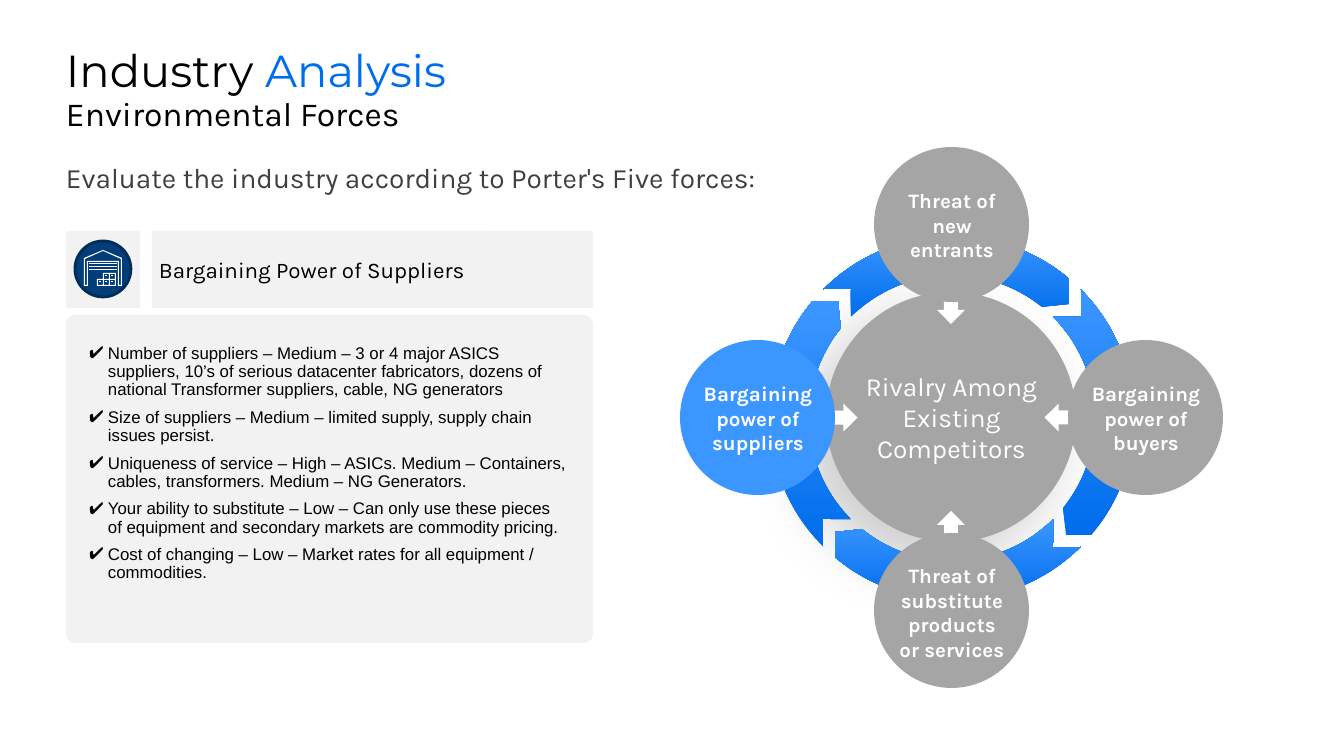
import math

import pptx
import pptx.dml.color
import pptx.enum.shapes
import pptx.enum.text
import pptx.oxml
import pptx.oxml.ns
import pptx.util

PX = 914400 / 134.4
SHAPE = pptx.enum.shapes.MSO_SHAPE
ALIGN = pptx.enum.text.PP_ALIGN
ANCHOR = pptx.enum.text.MSO_ANCHOR
COLORS = {
    name: pptx.dml.color.RGBColor.from_string(value)
    for name, value in {
        "black": "000000", "white": "FFFFFF", "text": "3F3F3F",
        "panel": "F2F2F2", "gray": "A5A5A5", "blue": "006DEC",
        "light blue": "3C96FF", "navy": "013E79", "navy edge": "002D58",
    }.items()
}

prs = pptx.Presentation()
prs.slide_width, prs.slide_height = round(1344 * PX), round(756 * PX)
s = prs.slides.add_slide(prs.slide_layouts.get_by_name("Two Content"))


def draw(outline, box, color):
    """Add a filled shape: a preset in box, or, without a box, a list of px contours."""
    if box:
        sp = s.shapes.add_shape(outline, *[round(v * PX) for v in box])
    else:
        contours = [[(x * PX, y * PX) for x, y in c] for c in outline]
        builder = s.shapes.build_freeform(*contours[0][0], scale=1.0)
        builder.add_line_segments(contours[0][1:])
        for contour in contours[1:]:
            builder.move_to(*contour[0])
            builder.add_line_segments(contour[1:])
        sp = builder.convert_to_shape()
    sp.shadow.inherit = False
    sp.fill.solid()
    sp.fill.fore_color.rgb = COLORS[color]
    sp.line.fill.background()
    return sp


def write(sp, box, texts, size, font, color="black", bold=False, align=ALIGN.LEFT,
          anchor=ANCHOR.TOP, insets=(0, 0, 0, 0)):
    """Place a text shape (a new text box if sp is None) and fill its paragraphs."""
    box = [round(v * PX) for v in box]
    sp = sp or s.shapes.add_textbox(*box)
    sp.left, sp.top, sp.width, sp.height = box
    tf = sp.text_frame
    tf.word_wrap = True
    tf.auto_size = pptx.enum.text.MSO_AUTO_SIZE.NONE
    tf.vertical_anchor = anchor
    tf.margin_left, tf.margin_top, tf.margin_right, tf.margin_bottom = [
        round(v * PX) for v in insets]
    tf.text = "\n".join(texts)
    for p in tf.paragraphs:
        p.alignment = align
        p.space_before = pptx.util.Pt(0)
        p.font.size = pptx.util.Pt(size)
        p.font.name = font
        p.font.bold = bold
        p.font.color.rgb = COLORS[color]
    return tf


# Headings
tf = write(s.shapes.title, (65, 31, 1210, 78), ["Industry "], 24, "Montserrat",
           anchor=ANCHOR.MIDDLE, insets=(1, 7, 0, 7))
r = tf.paragraphs[0].add_run()
r.text = "Analysis"
r.font.color.rgb = COLORS["blue"]

tf = write(s.placeholders[1], (65, 86, 1210, 101), ["Environmental Forces"], 18, "Karla",
           insets=(1, 7, 0, 7))
pPr = tf.paragraphs[0]._p.get_or_add_pPr()
pPr.set("marL", "0")
pPr.set("indent", "0")
pPr.find(pptx.oxml.ns.qn("a:defRPr")).addprevious(
    pptx.oxml.parse_xml(f"<a:buNone {pptx.oxml.ns.nsdecls('a')}/>"))

write(None, (66, 161, 784, 67), ["Evaluate the industry according to Porter's Five forces:"],
      15, "Karla", "text")

# Supplier panel, its background behind the list placeholder
for box in [(152, 231, 441, 77), (66, 231, 74, 77), (66, 315, 527, 328)]:
    panel = draw(SHAPE.ROUNDED_RECTANGLE, box, "panel")
    panel.adjustments[0] = 0.026
s.shapes.title._element.addprevious(panel._element)
write(None, (159, 243, 387, 54), ["Bargaining Power of Suppliers"], 12, "Karla",
      anchor=ANCHOR.MIDDLE)

findings = [
    "Number of suppliers – Medium – 3 or 4 major ASICS suppliers, 10’s of serious datacenter "
    "fabricators, dozens of national Transformer suppliers, cable, NG generators",
    "Size of suppliers – Medium – limited supply, supply chain issues persist.",
    "Uniqueness of service – High – ASICs. Medium – Containers, cables, transformers. "
    "Medium – NG Generators.",
    "Your ability to substitute – Low – Can only use these pieces of equipment and secondary "
    "markets are commodity pricing.",
    "Cost of changing – Low – Market rates for all equipment / commodities.",
]
tf = write(s.placeholders[2], (89, 345, 477, 271), findings, 9, "Arial")
for i, p in enumerate(tf.paragraphs):
    p.line_spacing = 0.9
    p.space_before = pptx.util.Pt(5 if i else 0)
    pPr = p._p.get_or_add_pPr()
    pPr.set("marL", str(round(19 * PX)))
    pPr.set("indent", str(round(-19 * PX)))
    defaults = pPr.find(pptx.oxml.ns.qn("a:defRPr"))
    for xml in ('<a:buClr {}><a:srgbClr val="000000"/></a:buClr>', '<a:buChar {} char="✔"/>'):
        defaults.addprevious(pptx.oxml.parse_xml(xml.format(pptx.oxml.ns.nsdecls("a"))))

# Warehouse icon
badge = draw(SHAPE.OVAL, (75, 241, 56, 56), "navy")
badge.line.color.rgb = COLORS["navy edge"]
badge.line.width = pptx.util.Pt(1.5)
house = [(103, 250), (84, 258), (84, 286), (88, 286), (88, 262), (118, 262), (118, 286),
         (122, 286), (122, 258)]
house_hole = [(121, 285), (119, 285), (119, 261), (87, 261), (87, 285), (85, 285), (85, 259),
              (103, 251), (121, 259)]
draw([house, house_hole], None, "white")
for y in (263, 266, 269):
    draw([[(89, y), (117, y), (117, y + 1), (89, y + 1)]], None, "white")
crates = [(104, 274), (110, 274), (98, 280), (104, 280), (110, 280)]
crate_holes = [[(x, y), (x + 5, y), (x + 5, y + 5), (x, y + 5)] for x, y in crates]
stack = [(116, 273), (103, 273), (103, 279), (97, 279), (97, 286), (116, 286)]
draw([stack] + crate_holes, None, "white")
for x, y in crates:
    draw([[(x + 1, y + 1), (x + 3, y + 1), (x + 3, y + 2), (x + 1, y + 2)]], None, "white")

# Five forces: hub and ring
CX, CY = 951, 417
hub = draw(SHAPE.OVAL, (CX - 125, CY - 125, 250, 250), "gray")
hub._element.spPr.find(pptx.oxml.ns.qn("a:effectLst")).append(pptx.oxml.parse_xml(
    f'<a:outerShdw {pptx.oxml.ns.nsdecls("a")} blurRad="429260" dist="219710" dir="8100000" '
    'algn="tr" rotWithShape="0"><a:srgbClr val="000000"><a:alpha val="20000"/></a:srgbClr>'
    '</a:outerShdw>'))

# Each arc is two Bezier curves: a start point, then three points per curve
arcs = []
for radius, start, end in [(143, -45, 39), (182, 40, -45)]:
    step = math.radians(end - start) / 2
    k = 4 / 3 * math.tan(step / 4)
    arc = []
    for i in range(3):
        a = math.radians(start) + i * step
        x, y = radius * math.cos(a), radius * math.sin(a)
        arc += [(x + k * y, y - k * x), (x, y), (x - k * y, y + k * x)]
    arcs.append(arc[1:-1])
segment = arcs[0] + [(114, 117)] + arcs[1] + [(129, -129), (129, -101)]
for _ in range(4):
    sp = draw([[(CX + 1 + x, CY + 1 + y) for x, y in segment]], None, "blue")
    lines = list(sp._element.iter(pptx.oxml.ns.qn("a:lnTo")))
    for first in (0, 3, 8, 11):
        curve = pptx.oxml.parse_xml(f"<a:cubicBezTo {pptx.oxml.ns.nsdecls('a')}/>")
        lines[first].addprevious(curve)
        for line in lines[first:first + 3]:
            curve.append(line[0])
            line.getparent().remove(line)
    sp.fill.gradient()
    sp.fill.gradient_angle = 90
    for stop, color in zip(sp.fill.gradient_stops, ("blue", "light blue")):
        stop.color.rgb = COLORS[color]
    segment = [(y, -x) for x, y in segment]

write(None, (852, 366, 199, 102), ["Rivalry Among Existing Competitors"], 14, "Karla", "white",
      align=ALIGN.CENTER, anchor=ANCHOR.MIDDLE, insets=(9, 5, 9, 5))

# Outer forces: direction from the hub, arrow rotation, label height
forces = [
    ("Bargaining power of suppliers", -1, 0, 270, 72, "light blue"),
    ("Bargaining power of buyers", 1, 0, 90, 72, "gray"),
    ("Threat of new entrants", 0, -1, 0, 72, "gray"),
    ("Threat of substitute products or services", 0, 1, 180, 95, "gray"),
]
for label, dx, dy, rotation, height, color in forces:
    arrow = draw(SHAPE.DOWN_ARROW, (CX + 113 * dx - 14, CY + 113 * dy - 19, 28, 39), "white")
    arrow.rotation = rotation
    x, y = CX + 194 * dx, CY + 193 * dy
    draw(SHAPE.OVAL, (x - 77, y - 77, 155, 155), color)
    write(None, (x - 55, y - height // 2, 112, height), [label], 11, "Karla", "white",
          bold=True, align=ALIGN.CENTER)

prs.save("out.pptx")
